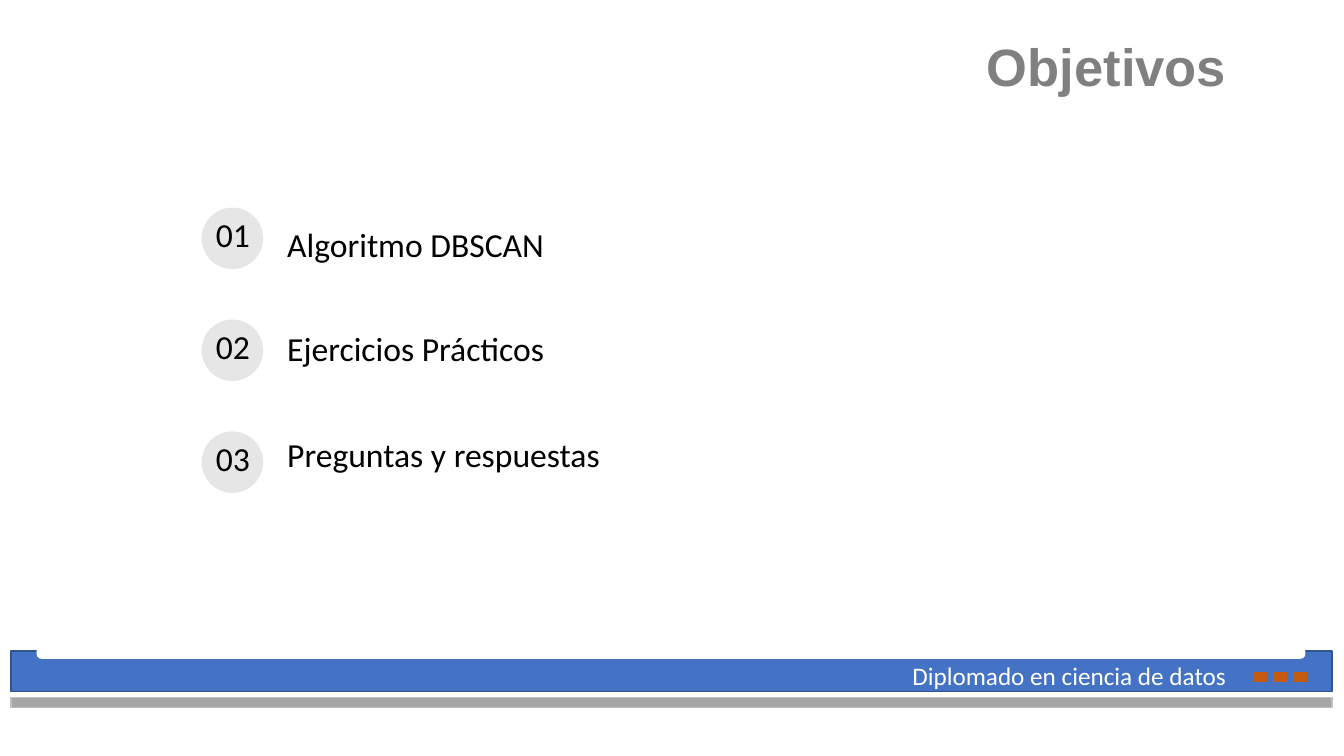
from pptx import Presentation
from pptx.dml.color import RGBColor
from pptx.enum.shapes import MSO_SHAPE
from pptx.enum.text import MSO_ANCHOR, MSO_AUTO_SIZE, PP_ALIGN
from pptx.util import Inches, Pt

WIDTH, HEIGHT = 13.33, 7.5
TITLE_ONLY = 5
OBJECTIVES = ["Algoritmo\u00a0DBSCAN", "Ejercicios Prácticos", "Preguntas y respuestas"]


def colour(value):
    return RGBColor.from_string(value)


def add_block(parent, kind, box, fill, line=None):
    block = parent.shapes.add_shape(kind, *map(Inches, box))
    block.shadow.inherit = False
    block.fill.solid()
    block.fill.fore_color.rgb = colour(fill)
    if line:
        block.line.color.rgb = colour(line)
        block.line.width = Pt(1)
    else:
        block.line.fill.background()
    return block


def write(shape, text, size, ink, font="Calibri", bold=False, align=PP_ALIGN.LEFT,
          spacing=1.0, top=0.05, side_bottom=0.05, anchor=MSO_ANCHOR.TOP):
    frame = shape.text_frame
    frame.word_wrap = True
    frame.auto_size = MSO_AUTO_SIZE.NONE
    frame.vertical_anchor = anchor
    frame.margin_left = frame.margin_right = Inches(0.1)
    frame.margin_top, frame.margin_bottom = Inches(top), Inches(side_bottom)
    para = frame.paragraphs[0]
    para.alignment = align
    para.line_spacing = spacing
    span = para.add_run()
    span.text = text
    span.font.name, span.font.size, span.font.bold = font, Pt(size), bold
    span.font.color.rgb = colour(ink)
    return para


def add_title(page, box):
    title = page.shapes.title
    title.left, title.top, title.width, title.height = map(Inches, box)
    # The closing space sets the word in from the right edge
    write(title, "Objetivos ", 37.5, "808080", "Arial", True, PP_ALIGN.RIGHT,
          spacing=0.7, anchor=MSO_ANCHOR.BOTTOM)


def add_objectives(page, box):
    left, top, width, height = box
    row_height = height / len(OBJECTIVES)
    circle = 0.61
    label_drops = [0.21, 0.13, 0.07]  # labels sit closer together than circles
    for row, (text, drop) in enumerate(zip(OBJECTIVES, label_drops)):
        row_top = top + row * row_height
        add_block(page, MSO_SHAPE.OVAL, (left, row_top, circle, circle), "E7E6E6")
        number = page.shapes.add_textbox(
            *map(Inches, (left - 0.14, row_top - 0.09, 0.9, circle)))
        write(number, f"{row + 1:02d}", 24, "000000", align=PP_ALIGN.CENTER,
              spacing=0.9, top=0.2, side_bottom=0.1)
        label = page.shapes.add_textbox(
            *map(Inches, (left + 0.75, row_top + drop, width - 0.75, circle)))
        para = write(label, text, 24, "000000", spacing=0.9, top=0, side_bottom=0.1)
        para.space_after = Pt(12)


def add_footer(page, box):
    left, top, width, height = box
    right = left + width
    footer = page.shapes.add_group_shape()
    # Blue band, with a white rounded panel cutting into its top, and grey rule
    add_block(footer, MSO_SHAPE.RECTANGLE, (left, top, width, 0.4), "4472C4", "325491")
    add_block(footer, MSO_SHAPE.ROUNDED_RECTANGLE,
              (left + 0.26, top - 0.19, width - 0.53, 0.26), "FFFFFF", "FFFFFF")
    add_block(footer, MSO_SHAPE.RECTANGLE,
              (left, top + height - 0.1, width, 0.1), "A6A6A6", "BFBFBF")
    # Three orange marks at the right end
    for mark in range(3):
        add_block(footer, MSO_SHAPE.RECTANGLE,
                  (right - 0.78 + 0.2 * mark, top + 0.21, 0.13, 0.09), "C55A11", "C55A11")
    course = footer.shapes.add_textbox(
        *map(Inches, (right - 4.26, top + 0.04, 3.45, 0.4)))
    write(course, "Diplomado en ciencia de datos", 18, "FFFFFF")


def main():
    deck = Presentation()
    deck.slide_width, deck.slide_height = Inches(WIDTH), Inches(HEIGHT)
    page = deck.slides.add_slide(deck.slide_layouts[TITLE_ONLY])
    add_footer(page, (0.11, 6.46, WIDTH - 0.23, 0.56))
    add_title(page, (1.41, 0.4, 11, 0.6))
    add_objectives(page, (2, 2.06, 8, 3.33))
    deck.save("out.pptx")


if __name__ == "__main__":
    main()
